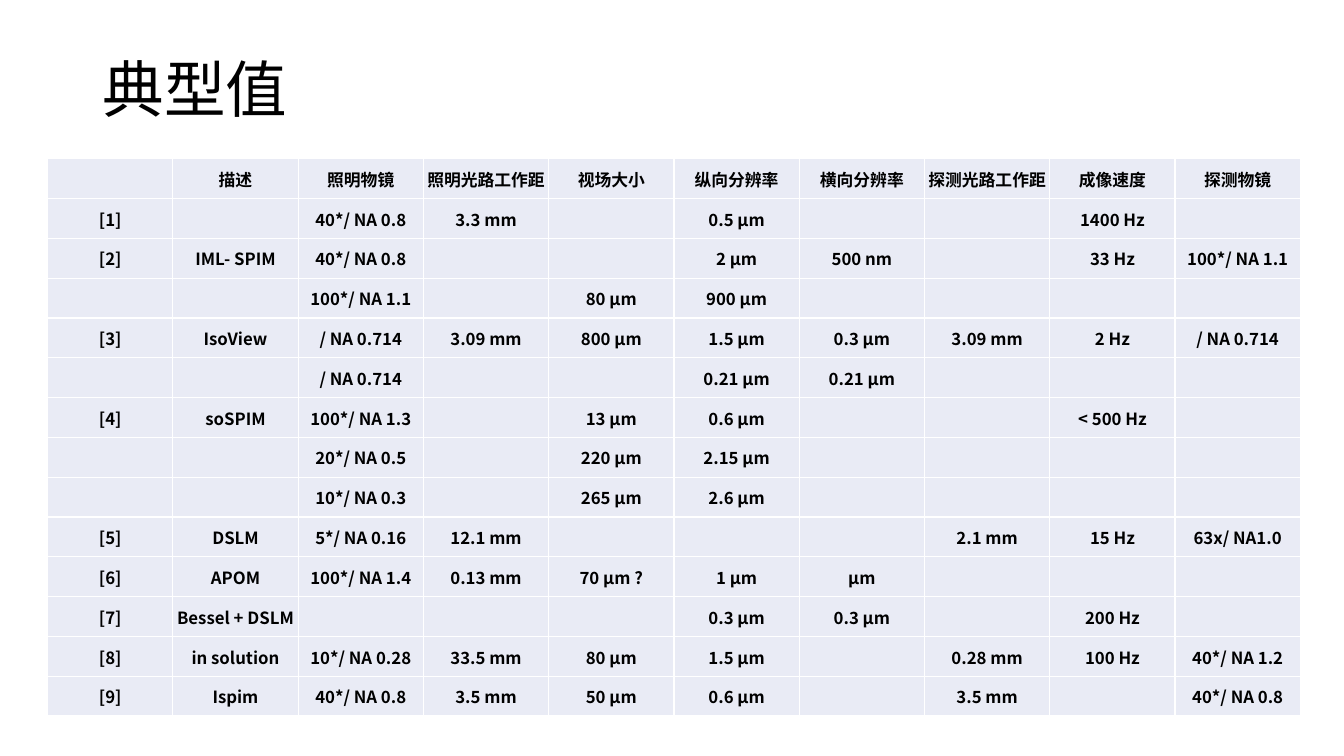
from lxml.etree import SubElement
from pptx import Presentation
from pptx.dml.color import RGBColor
from pptx.enum.text import MSO_ANCHOR as Anchor, PP_ALIGN as Align
from pptx.oxml.ns import qn
from pptx.util import Cm, Pt

COLORS = {"text": "000000", "cell": "E9EBF5", "border": "FFFFFF"}
FONT = "Noto Sans CJK SC"

TYPICAL_VALUES = [
    ["", "描述", "照明物镜", "照明光路工作距", "视场大小", "纵向分辨率", "横向分辨率",
     "探测光路工作距", "成像速度", "探测物镜"],
    ["[1]", "", "40*/ NA 0.8", "3.3 mm", "", "0.5 μm", "", "", "1400 Hz", ""],
    ["[2]", "IML- SPIM", "40*/ NA 0.8", "", "", "2 μm", "500 nm", "", "33 Hz", "100*/ NA 1.1"],
    ["", "", "100*/ NA 1.1", "", "80 μm", "900 μm", "", "", "", ""],
    ["[3]", "IsoView", "/ NA 0.714", "3.09 mm", "800 μm", "1.5 μm", "0.3 μm",
     "3.09 mm", "2 Hz", "/ NA 0.714"],
    ["", "", "/ NA 0.714", "", "", "0.21 μm", "0.21 μm", "", "", ""],
    ["[4]", "soSPIM", "100*/ NA 1.3", "", "13 μm", "0.6 μm", "", "", "< 500 Hz", ""],
    ["", "", "20*/ NA 0.5", "", "220 μm", "2.15 μm", "", "", "", ""],
    ["", "", "10*/ NA 0.3", "", "265 μm", "2.6 μm", "", "", "", ""],
    ["[5]", "DSLM", "5*/ NA 0.16", "12.1 mm", "", "", "", "2.1 mm", "15 Hz", "63x/ NA1.0"],
    ["[6]", "APOM", "100*/ NA 1.4", "0.13 mm", "70 μm ?", "1 μm", "μm", "", "", ""],
    ["[7]", "Bessel + DSLM", "", "", "", "0.3 μm", "0.3 μm", "", "200 Hz", ""],
    ["[8]", "in solution", "10*/ NA 0.28", "33.5 mm", "80 μm", "1.5 μm", "",
     "0.28 mm", "100 Hz", "40*/ NA 1.2"],
    ["[9]", "Ispim", "40*/ NA 0.8", "3.5 mm", "50 μm", "0.6 μm", "", "3.5 mm", "", "40*/ NA 0.8"],
]


class SlideBuilder:
    def __init__(self, slide):
        self.slide = slide

    def style(self, paragraph, size, bold, align):
        paragraph.alignment = align
        font = paragraph.font
        font.size, font.bold, font.name = Pt(size), bold, FONT
        font.color.rgb = RGBColor.from_string(COLORS["text"])
        # Chinese characters take the East Asian typeface
        defaults = paragraph._p.pPr.find(qn("a:defRPr"))
        SubElement(defaults, qn("a:ea"), typeface=FONT)

    def title(self, text, left, top, width, height):
        heading = self.slide.shapes.title
        heading.left, heading.top = Cm(left), Cm(top)
        heading.width, heading.height = Cm(width), Cm(height)
        frame = heading.text_frame
        frame.text = text
        frame.word_wrap = True
        frame.vertical_anchor = Anchor.MIDDLE
        frame.paragraphs[0].line_spacing = 0.9
        self.style(frame.paragraphs[0], 44, False, Align.LEFT)

    def borders(self, cell):
        properties = cell._tc.get_or_add_tcPr()
        for side in ("lnL", "lnR", "lnT", "lnB"):
            line = SubElement(properties, qn(f"a:{side}"), w=str(Pt(1)))
            fill = SubElement(line, qn("a:solidFill"))
            SubElement(fill, qn("a:srgbClr"), val=COLORS["border"])

    def cell(self, cell, text):
        self.borders(cell)
        cell.fill.solid()
        cell.fill.fore_color.rgb = RGBColor.from_string(COLORS["cell"])
        cell.vertical_anchor = Anchor.MIDDLE
        cell.margin_left = cell.margin_right = cell.margin_top = Cm(0.02)
        cell.margin_bottom = 0
        cell.text = text
        self.style(cell.text_frame.paragraphs[0], 12, True, Align.CENTER)

    def table(self, rows, left, top, width, height):
        grid = self.slide.shapes.add_table(
            len(rows), len(rows[0]), Cm(left), Cm(top), Cm(width), Cm(height)).table
        grid.first_row = grid.horz_banding = False
        for r, row in enumerate(rows):
            for c, text in enumerate(row):
                self.cell(grid.cell(r, c), text)


def main():
    deck = Presentation()
    deck.slide_width, deck.slide_height = Cm(33.87), Cm(19.05)
    title_only = deck.slide_layouts[5]
    builder = SlideBuilder(deck.slides.add_slide(title_only))

    # Heading
    builder.title("典型值", 2.33, 1.01, 29.21, 2.65)
    # Microscope comparison
    builder.table(TYPICAL_VALUES, 1.2, 4, 31.57, 14.05)

    deck.save("out.pptx")


if __name__ == "__main__":
    main()
